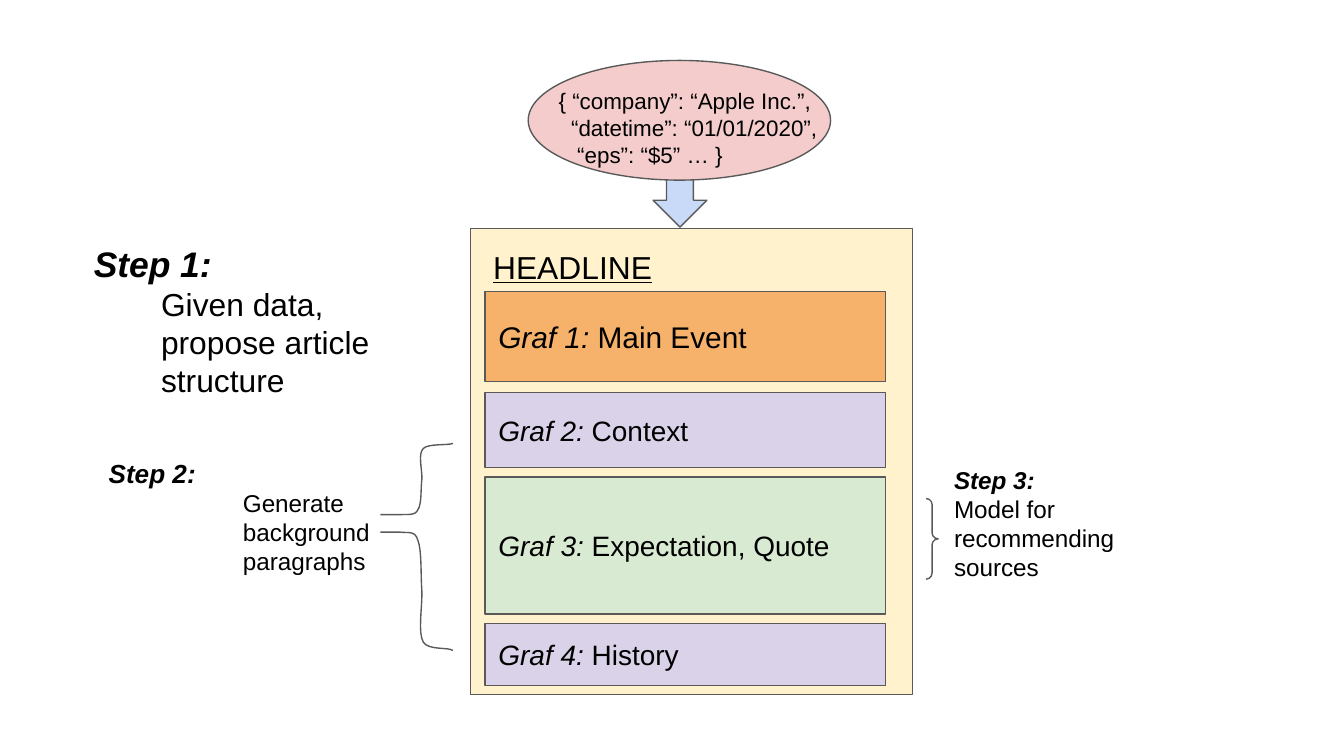
from pptx import Presentation
from pptx.dml.color import RGBColor as RGB
from pptx.enum.shapes import MSO_SHAPE as SHAPE
from pptx.enum.text import MSO_ANCHOR as ANCHOR, PP_ALIGN as ALIGN
from pptx.util import Inches, Pt

HUES = {
    "ink": "000000", "line": "595959", "page": "FFF2CC", "pink": "F4CCCC",
    "blue": "C9DAF8", "orange": "F6B26B", "violet": "D9D2E9", "green": "D9EAD3",
}

GRAFS = [
    ("Graf 1:", " Main Event", 16, "orange", 2.17, 0.67),
    ("Graf 2:", " Context", 15, "violet", 2.92, 0.56),
    ("Graf 3:", " Expectation, Quote", 15, "green", 3.55, 1.02),
    ("Graf 4:", " History", 15, "violet", 4.64, 0.46),
]

STEPS = [
    ("Step 1:", ["Given data,", "propose article", "structure"],
     19, 17, 0.5, (0.6, 1.7, 2.63, 0.73)),
    ("Step 2:", ["Generate background", "paragraphs"],
     14, 13, 1, (0.71, 3.3, 2.34, 1.25)),
    ("Step 3:", ["Model for recommending", "sources"],
     13, 13, 0, (7, 3.36, 2.12, 0.82)),
]

DATA = [
    "   { “company”: “Apple Inc.”,",
    "     “datetime”: “01/01/2020”,",
    "      “eps”: “$5” … }",
]

BENDS = [
    ((0.02, 0), (0.1, 0), (0.15, 0)),
    ((0.2, 0.01), (0.26, -0.02), (0.28, 0.07)),
    ((0.31, 0.15), (0.3, 0.37), (0.31, 0.51)),
    ((0.31, 0.66), (0.28, 0.85), (0.32, 0.93)),
    ((0.36, 1), (0.5, 0.97), (0.54, 1)),
]
ARMS = [(2.83, 3.83, -0.53), (2.83, 3.96, 0.88)]

deck = Presentation()
deck.slide_width = Inches(10)
deck.slide_height = deck.slide_width * 9 // 16
slide = deck.slides.add_slide(deck.slide_layouts[6])
shapes = slide.shapes


def tint(name):
    return RGB.from_string(HUES[name])


def paint(shape, fill=None):
    shape.shadow.inherit = False
    if fill:
        shape.fill.solid()
        shape.fill.fore_color.rgb = tint(fill)
    else:
        shape.fill.background()
    shape.line.color.rgb = tint("line")
    shape.line.width = Pt(0.75)


def draw(kind, box, fill=None):
    shape = shapes.add_shape(kind, *map(Inches, box))
    paint(shape, fill)
    return shape


def write(shape, lines, anchor=ANCHOR.TOP):
    frame = shape.text_frame
    frame.word_wrap = True
    frame.vertical_anchor = anchor
    frame.margin_left = frame.margin_right = Inches(0.1)
    frame.margin_top = frame.margin_bottom = Inches(0.1)
    for spot, (runs, indent) in enumerate(lines):
        para = frame.add_paragraph() if spot else frame.paragraphs[0]
        para.alignment = ALIGN.LEFT
        if indent:
            props = para._p.get_or_add_pPr()
            props.set("marL", str(Inches(indent)))
            props.set("indent", "0")
        for text, size, style in runs:
            run = para.add_run()
            run.text = text
            font = run.font
            font.name, font.size = "Arial", Pt(size)
            font.color.rgb = tint("ink")
            font.bold, font.italic = "b" in style, "i" in style
            font.underline = "u" in style


def label(box, lines):
    write(shapes.add_textbox(*map(Inches, box)), lines)


def curve(left, top, rise, steps=8):
    start, dots = (0, 0), []
    for one, two, end in BENDS:
        for step in range(1, steps + 1):
            t = step / steps
            x, y = ((1 - t) ** 3 * a + 3 * t * (1 - t) ** 2 * b
                    + 3 * t * t * (1 - t) * c + t ** 3 * d
                    for a, b, c, d in zip(start, one, two, end))
            dots.append((Inches(left + x), Inches(top + rise * y)))
        start = end
    pen = shapes.build_freeform(Inches(left), Inches(top))
    pen.add_line_segments(dots, close=False)
    paint(pen.convert_to_shape())


draw(SHAPE.DOWN_ARROW, (4.86, 1.25, 0.4, 0.44), "blue")
draw(SHAPE.RECTANGLE, (3.5, 1.7, 3.29, 3.47), "page")
label((3.57, 1.74, 2.98, 0.56), [([("HEADLINE", 17, "u")], 0)])

for name, topic, size, fill, top, high in GRAFS:
    graf = draw(SHAPE.RECTANGLE, (3.61, top, 2.98, high), fill)
    write(graf, [([(name, size, "i"), (topic, size, "")], 0)], ANCHOR.MIDDLE)

for title, body, big, small, indent, box in STEPS:
    label(box, [([(title, big, "bi")], 0)]
          + [([(text, small, "")], indent) for text in body])

brace = draw(SHAPE.RIGHT_BRACE, (6.89, 3.71, 0.09, 0.6))
brace.adjustments[0] = 0.5
for arm in ARMS:
    curve(*arm)

draw(SHAPE.OVAL, (3.93, 0.45, 2.25, 0.89), "pink")
label((3.92, 0.55, 2.34, 0.73), [([(text, 12, "")], 0) for text in DATA])

deck.save("out.pptx")
